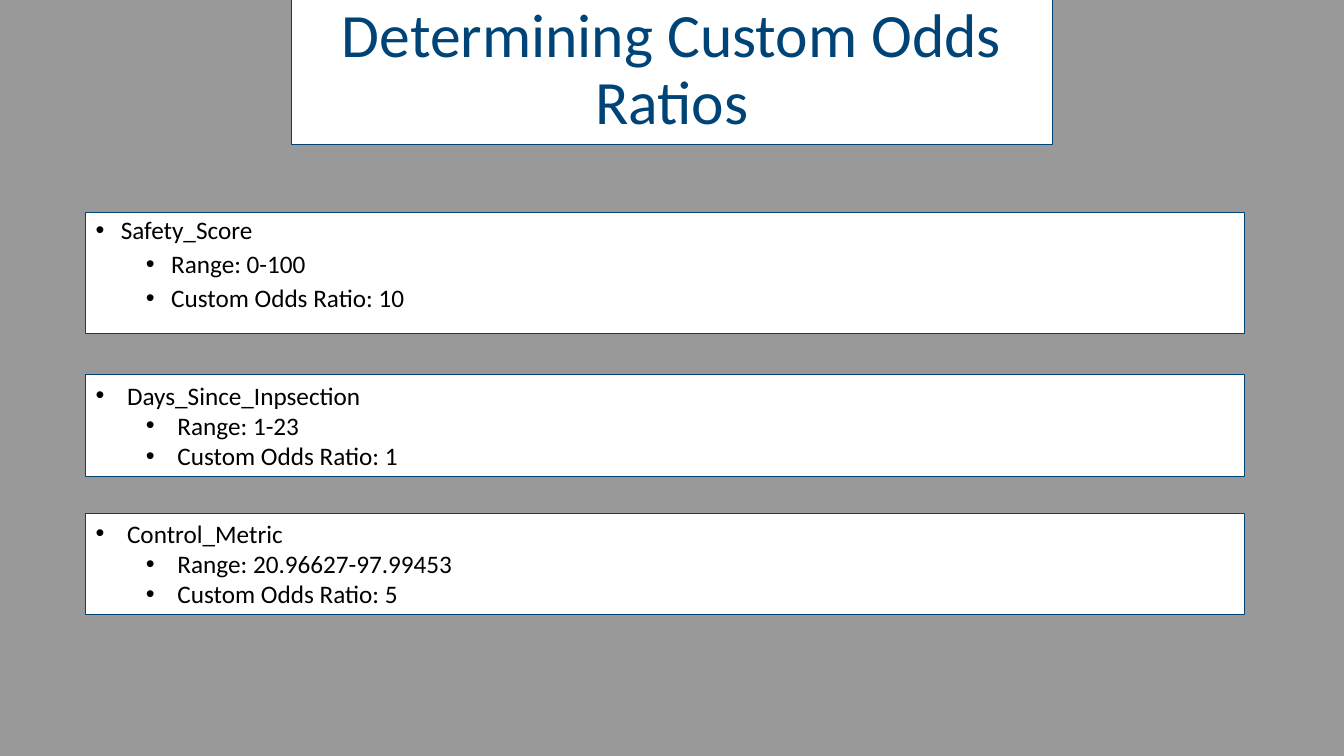
"""Builds a slide on custom odds ratios for three predictors."""
from lxml import etree
from pptx import Presentation, util as u
from pptx.dml.color import RGBColor
from pptx.enum import shapes, text
from pptx.oxml.ns import qn

TITLE = "Determining Custom Odds Ratios"
PREDICTORS = [
    {"name": "Safety_Score", "range": "0-100", "ratio": "10",
     "top": 151.9, "height": 86.4, "hang": 18, "spacing": 0.9, "before": (10, 5)},
    {"name": "Days_Since_Inpsection", "range": "1-23", "ratio": "1",
     "top": 267.8, "height": 72.7, "hang": 22.5, "spacing": 1, "before": (0, 0)},
    {"name": "Control_Metric", "range": "20.96627-97.99453", "ratio": "5",
     "top": 366.5, "height": 72.7, "hang": 22.5, "spacing": 1, "before": (0, 0)},
]
FONT = "Calibri"
GREY, WHITE, BLUE, BLACK = "999999", "FFFFFF", "004477", "000000"
CARD_LEFT, CARD_WIDTH, LEVEL_INDENT = 61.2, 828, 36


def paint(color_format, color):
    color_format.rgb = RGBColor.from_string(color)


def add_panel(slide, left, top, width, height, anchor):
    panel = slide.shapes.add_shape(shapes.MSO_SHAPE.RECTANGLE,
                                   u.Pt(left), u.Pt(top), u.Pt(width), u.Pt(height))
    panel.shadow.inherit = False
    panel.fill.solid()
    paint(panel.fill.fore_color, WHITE)
    paint(panel.line.color, BLUE)
    panel.line.width = u.Pt(0.75)
    panel.text_frame.word_wrap = True
    panel.text_frame.vertical_anchor = anchor
    return panel


def style(paragraph, size, color, align, spacing, before=0):
    paragraph.alignment = align
    paragraph.line_spacing = spacing
    paragraph.space_before = u.Pt(before)
    for run in paragraph.runs:
        run.font.name = FONT
        run.font.size = u.Pt(size)
        paint(run.font.color, color)


def add_bullet(paragraph, level, hang):
    paragraph.level = level
    props = paragraph._p.get_or_add_pPr()
    props.set("marL", str(u.Pt(level * LEVEL_INDENT + hang)))
    props.set("indent", str(-u.Pt(hang)))
    etree.SubElement(props, qn("a:buFont")).set("typeface", "Arial")
    etree.SubElement(props, qn("a:buChar")).set("char", "•")


def add_title(slide):
    title = add_panel(slide, 208.1, -1.4, 543.6, 104.4, text.MSO_ANCHOR.MIDDLE)
    title.text_frame.text = TITLE
    style(title.text_frame.paragraphs[0], 44, BLUE, text.PP_ALIGN.CENTER, 0.9)


def add_predictor(slide, predictor):
    card = add_panel(slide, CARD_LEFT, predictor["top"], CARD_WIDTH,
                     predictor["height"], text.MSO_ANCHOR.TOP)
    card.text_frame.text = "\n".join([
        predictor["name"],
        f"Range: {predictor['range']}",
        f"Custom Odds Ratio: {predictor['ratio']}",
    ])
    for paragraph, level in zip(card.text_frame.paragraphs, (0, 1, 1)):
        style(paragraph, 18, BLACK, text.PP_ALIGN.LEFT,
              predictor["spacing"], predictor["before"][level])
        add_bullet(paragraph, level, predictor["hang"])


def main():
    deck = Presentation()
    deck.slide_width, deck.slide_height = u.Pt(960), u.Pt(540)
    slide = deck.slides.add_slide(deck.slide_layouts[6])
    slide.background.fill.solid()
    paint(slide.background.fill.fore_color, GREY)
    add_title(slide)
    for predictor in PREDICTORS:
        add_predictor(slide, predictor)
    deck.save("out.pptx")


if __name__ == "__main__":
    main()
